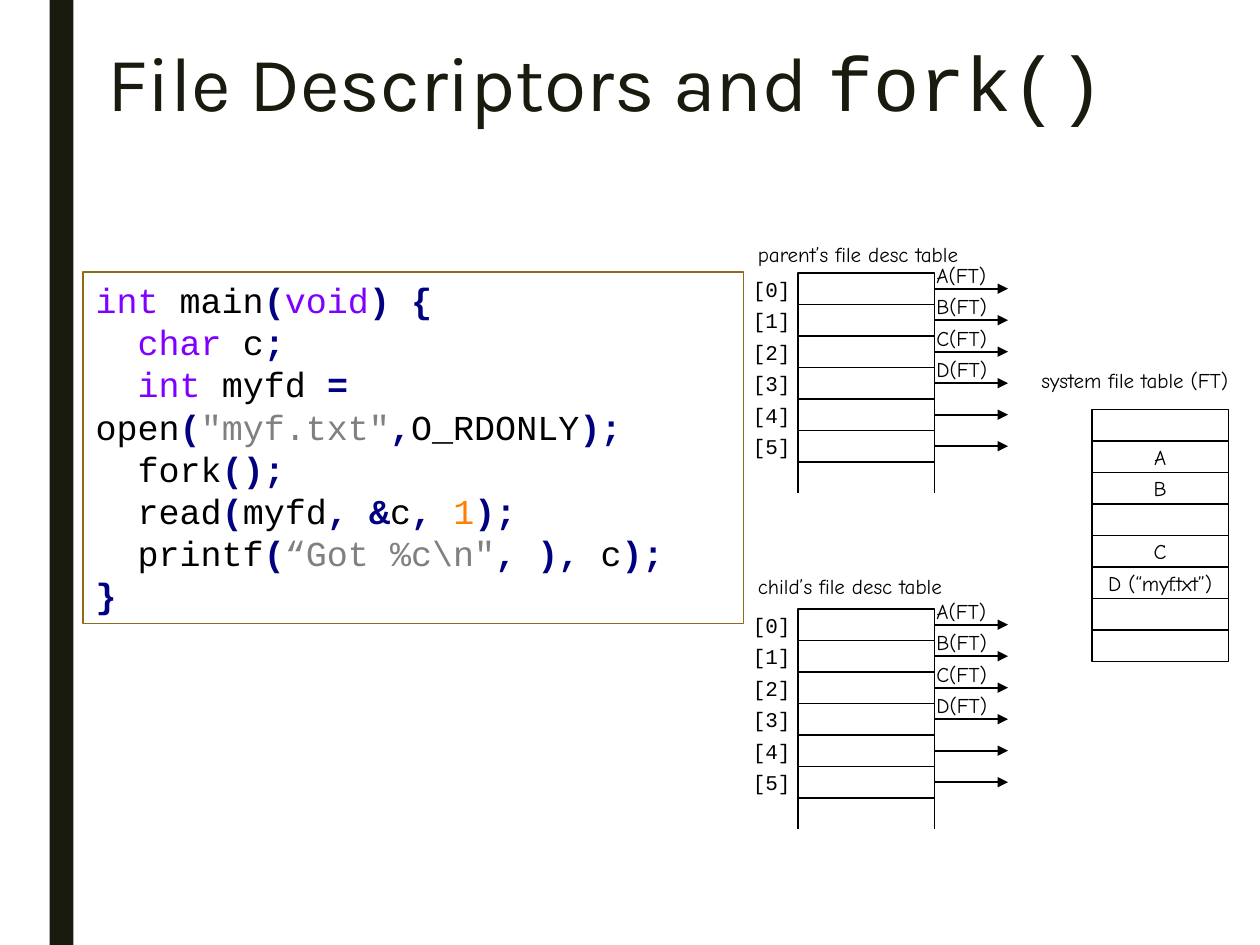
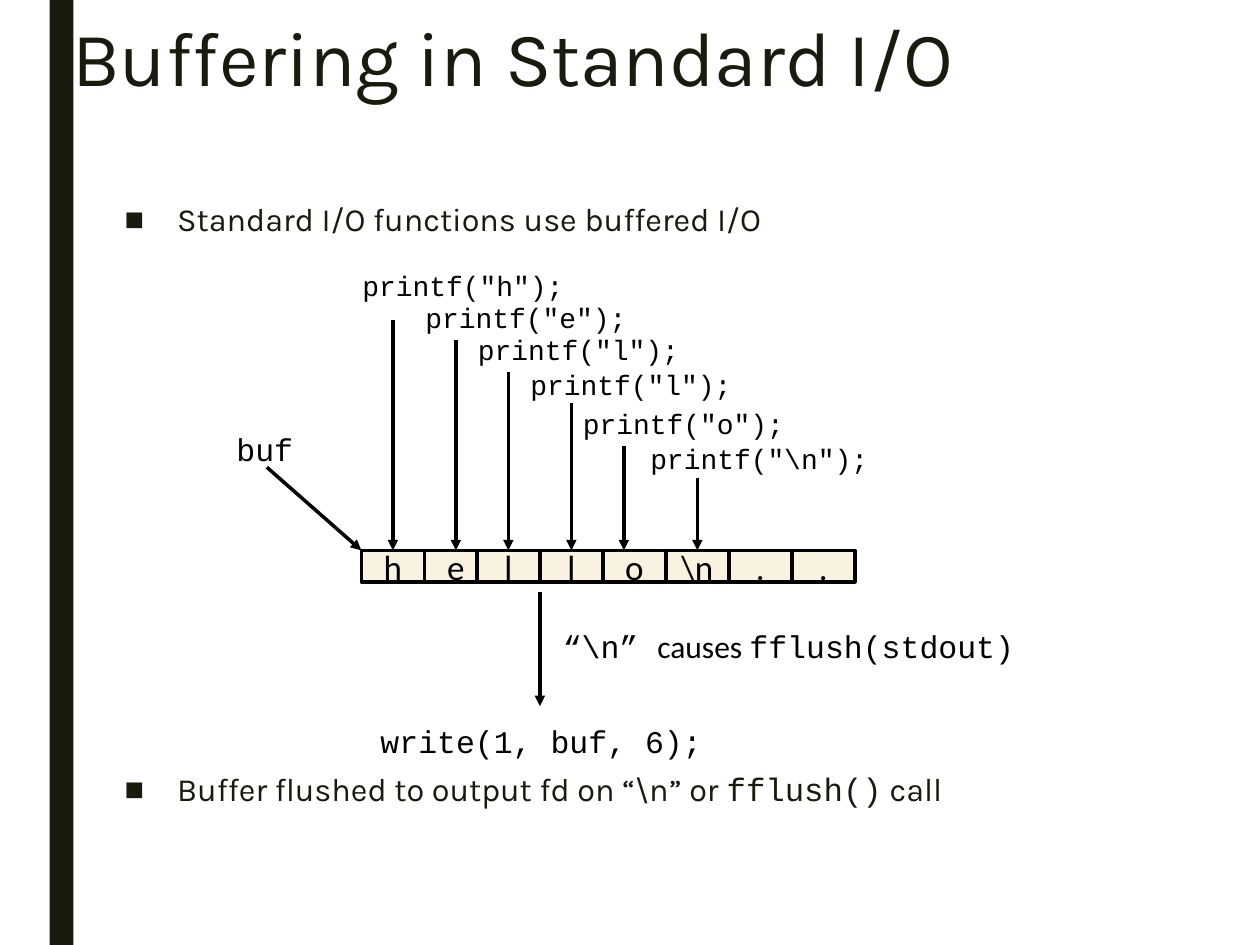
from lxml import etree
from pptx import Presentation
from pptx.dml.color import RGBColor
from pptx.enum import shapes, text
from pptx.oxml import ns
from pptx.util import Pt

COLORS = {
    "ink": "191B0E", "black": "000000", "white": "FFFFFF", "cell": "FAF2E1",
    "frame": "906B18", "keyword": "8000FF", "operator": "000080",
    "string": "808080", "number": "FF8000",
}
SANS, HAND, MONO, PLAIN = "Karla", "Comic Neue", "Courier New", "Calibri"
LEFT, CENTER = text.PP_ALIGN.LEFT, text.PP_ALIGN.CENTER
TOP, MIDDLE = text.MSO_ANCHOR.TOP, text.MSO_ANCHOR.MIDDLE
RECT = shapes.MSO_SHAPE.RECTANGLE
rgb = {name: RGBColor.from_string(value) for name, value in COLORS.items()}


def write(shape, lines, size, color="black", align=LEFT, anchor=TOP,
          wrap=False, fit=text.MSO_AUTO_SIZE.NONE):
    """Fill a shape with lines of (text, font[, colour]) runs."""
    frame = shape.text_frame
    frame.word_wrap, frame.auto_size, frame.vertical_anchor = wrap, fit, anchor
    for i, pieces in enumerate(lines):
        paragraph = frame.paragraphs[0] if i == 0 else frame.add_paragraph()
        paragraph.alignment = align
        for words, font, *shade in pieces:
            run = paragraph.add_run()
            run.text = words
            run.font.name, run.font.size = font, Pt(size)
            tone = shade[0] if shade else color
            run.font.color.rgb = rgb[tone]
            run.font.bold = tone == "operator"
    return frame


def draw(slide, x, y, w, h, line=None, fill=None, arrow=None):
    """Add a rectangle, or a line from x, y spanning w, h if arrow is given."""
    if arrow is None:
        shape = slide.shapes.add_shape(RECT, Pt(x), Pt(y), Pt(w), Pt(h))
        shape.shadow.inherit = False
        if fill:
            shape.fill.solid()
            shape.fill.fore_color.rgb = rgb[fill]
        else:
            shape.fill.background()
    else:
        shape = slide.shapes.add_connector(
            shapes.MSO_CONNECTOR.STRAIGHT, Pt(x), Pt(y), Pt(x + w), Pt(y + h))
    if line:
        shape.line.color.rgb = rgb["black"]
        shape.line.width = Pt(line)
    else:
        shape.line.fill.background()
    if arrow is not None:
        if arrow:
            outline = shape.line._get_or_add_ln()
            etree.SubElement(outline, ns.qn("a:tailEnd"), type="triangle")
        etree.SubElement(shape.element.spPr, ns.qn("a:effectLst"))
    return shape


prs = Presentation()
prs.slide_width, prs.slide_height = Pt(720), Pt(540)
fork_slide = prs.slides.add_slide(prs.slide_layouts[5])
buffer_slide = prs.slides.add_slide(prs.slide_layouts[1])

# Shared: dark band on the master, title style
band = draw(fork_slide, 28.3, 0, 13.7, 540, fill="ink")
prs.slide_master.shapes.element.insert(2, band.element)
titles = [
    (fork_slide, (54, 22.5, 636, 82),
     [("File Descriptors and ", SANS), ("fork()", MONO)]),
    (buffer_slide, (34, 8, 598, 60), [("Buffering in Standard I/O", SANS)]),
]
for slide, box, pieces in titles:
    title = slide.shapes.title
    title.left, title.top, title.width, title.height = map(Pt, box)
    frame = write(title, [pieces], 44, "ink", wrap=True)
    frame.paragraphs[0].line_spacing = 0.89

# Slide 1: file descriptor tables of parent and child
FIT = text.MSO_AUTO_SIZE.SHAPE_TO_FIT_TEXT
ROW, CELL_W, DESC_X, FT_X = 18, 78, 456, 624
captions = [("parent’s file desc table", 426, 134.5, 144),
            ("child’s file desc table", 426, 324, 134),
            ("system file table (FT)", 588, 206.5, 138)]
for words, x, y, w in captions:
    box = fork_slide.shapes.add_textbox(Pt(x), Pt(y), Pt(w), Pt(21.8))
    write(box, [[(words, HAND)]], 12, fit=FIT)

for table_top in (156, 348):
    for i in range(6):
        y = table_top + i * ROW
        draw(fork_slide, DESC_X, y, CELL_W, ROW, line=1)
        draw(fork_slide, DESC_X + CELL_W, y + ROW / 2, 42, 0, line=1, arrow=True)
        index = fork_slide.shapes.add_textbox(Pt(426), Pt(y), Pt(30), Pt(ROW))
        write(index, [[(f"[{i}]", MONO)]], 12, align=CENTER, anchor=MIDDLE)
    for x in (DESC_X, DESC_X + CELL_W):
        draw(fork_slide, x, table_top + 6 * ROW, 0, ROW, line=1, arrow=False)
    for i, entry in enumerate("ABCD"):
        target = fork_slide.shapes.add_textbox(
            Pt(528), Pt(table_top + i * ROW - 9.75), Pt(47), Pt(21.8))
        write(target, [[(f"{entry}(FT)", HAND)]], 12, fit=FIT)

# Slide 1: system file table
for i, entry in enumerate(["", "A", "B", "", "C", "D (“myf.txt”)", "", ""]):
    cell = draw(fork_slide, FT_X, 234 + i * ROW, CELL_W, ROW, line=1)
    if entry:
        write(cell, [[(entry, HAND)]], 12, align=CENTER, anchor=MIDDLE)

# Slide 1: code
code = [
    [("int", "keyword"), (" main", "black"), ("(", "operator"),
     ("void", "keyword"), (") {", "operator")],
    [("  ", "black"), ("char", "keyword"), (" c", "black"), (";", "operator")],
    [("  ", "black"), ("int", "keyword"), (" myfd ", "black"), ("=", "operator"),
     (" open", "black"), ("(", "operator"), ('"myf.txt"', "string"),
     (",", "operator"), ("O_RDONLY", "black"), (");", "operator")],
    [("  fork", "black"), ("();", "operator")],
    [("  read", "black"), ("(", "operator"), ("myfd", "black"),
     (", &", "operator"), ("c", "black"), (", ", "operator"),
     ("1", "number"), (");", "operator")],
    [("  printf", "black"), ("(", "operator"), ('“Got %c\\n"', "string"),
     (", ),", "operator"), (" c", "black"), (");", "operator")],
    [("}", "operator")],
]
listing = draw(fork_slide, 47.5, 155.5, 377.5, 201, line=0.75, fill="white")
listing.line.color.rgb = rgb["frame"]
frame = write(listing, [[(words, MONO, tone) for words, tone in row]
                        for row in code], 20, wrap=True)
for paragraph in frame.paragraphs:
    paragraph.line_spacing = Pt(24.1)

# Slide 2: bullets, the second one below the drawing
body = buffer_slide.placeholders[1]
body.left, body.top, body.width, body.height = Pt(64), Pt(114), Pt(594), Pt(378)
bullets = [
    [("Standard I/O functions use buffered I/O", SANS)],
    [("Buffer flushed to output fd on “\\n” or ", SANS),
     ("fflush()", MONO), (" call", SANS)],
]
frame = write(body, bullets, 18.5, "ink", wrap=True)
for paragraph, gap in zip(frame.paragraphs, (0, 305)):
    paragraph.line_spacing = 0.84
    paragraph.space_before, paragraph.space_after = Pt(gap), Pt(2)
    props = paragraph._p.get_or_add_pPr()
    props.set("marL", str(Pt(30)))
    props.set("indent", str(-Pt(30)))
    etree.SubElement(props, ns.qn("a:buFont"), typeface="Arial")
    etree.SubElement(props, ns.qn("a:buChar"), char="■")

# Slide 2: buffer cells
CELL_TOP = 314.5
for i, char in enumerate(["h", "e", "l", "l", "o", "\\n", ".", "."]):
    x = 206.5 + 36 * i - (6 if i > 1 else 0)
    cell = draw(buffer_slide, x, CELL_TOP, 36, 18, line=2, fill="cell")
    write(cell, [[(char, PLAIN)]], 20, align=CENTER, anchor=MIDDLE)

# Slide 2: printf calls (character, left, top, arrow x, arrow top)
calls = [
    ("h", 200, 150, 224.5, 183),
    ("e", 236, 168, 260.5, 194.5),
    ("l", 266, 186.5, 290.5, 212.5),
    ("l", 296, 206.5, 326.5, 230.5),
    ("o", 326, 228.5, 356.5, 255),
    ("\\n", 364.5, 248.5, 398.5, 273),
]
for char, x, y, arrow_x, arrow_top in calls:
    call = buffer_slide.shapes.add_textbox(
        Pt(x), Pt(y), Pt(120.7 + 9.6 * len(char)), Pt(26.6))
    write(call, [[(f'printf("{char}");', MONO)]], 16, fit=FIT)
    draw(buffer_slide, arrow_x, arrow_top, 0, CELL_TOP - arrow_top,
         line=2, arrow=True)

# Slide 2: buffer pointer and flush
draw(buffer_slide, 152.5, 267, 54, 47.5, line=2, arrow=True)
draw(buffer_slide, 308.5, 338.5, 0, 65, line=2, arrow=True)
notes = [
    ([("buf", MONO)], 128, 242, 47, LEFT),
    ([("“\\n” ", MONO), ("causes ", PLAIN), ("fflush(stdout)", MONO)],
     314.5, 355, 281, LEFT),
    ([("write(1, buf, 6);", MONO)], 209.5, 409, 199.5, CENTER),
]
for pieces, x, y, w, align in notes:
    box = buffer_slide.shapes.add_textbox(Pt(x), Pt(y), Pt(w), Pt(29))
    write(box, [pieces], 18, align=align, fit=FIT)

prs.save("out.pptx")
